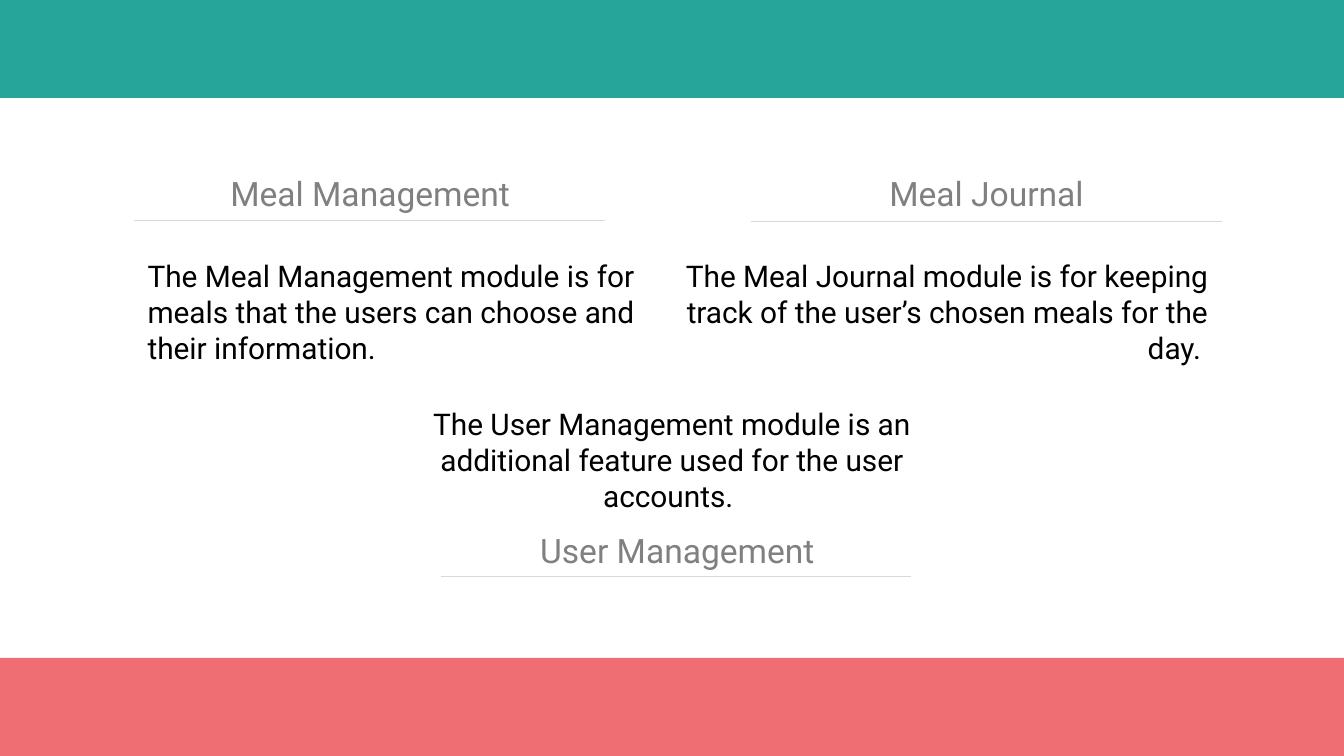
from pptx import Presentation
from pptx.util import Pt
from pptx.dml.color import RGBColor as RGB
from pptx.enum.shapes import MSO_SHAPE as Shape, MSO_CONNECTOR as Link
from pptx.enum.text import PP_ALIGN as Align
from pptx.oxml.ns import qn
from lxml.etree import SubElement as Sub

hues = {"teal": "26A69A", "coral": "EE6E73", "grey": "808080",
        "rule": "D9D9D9", "black": "000000"}

deck = Presentation()
deck.slide_width, deck.slide_height = Pt(720), Pt(405)
slide = deck.slides.add_slide(deck.slide_layouts[6])


def add_text(text, left, top, width, height, size, hue, align, wrap=True):
    box = slide.shapes.add_textbox(Pt(left), Pt(top), Pt(width), Pt(height))
    frame = box.text_frame
    frame.text = text
    frame.word_wrap = wrap
    para = frame.paragraphs[0]
    para.alignment = align
    font = para.runs[0].font
    font.name, font.size = "Roboto", Pt(size)
    font.color.rgb = RGB.from_string(hues[hue])


for top, hue in [(0, "teal"), (352.5, "coral")]:
    band = slide.shapes.add_shape(Shape.RECTANGLE, 0, Pt(top), Pt(720), Pt(52.5))
    band.shadow.inherit = False
    band.fill.solid()
    band.fill.fore_color.rgb = RGB.from_string(hues[hue])
    band.line.fill.background()

parts = [
    ("Meal Management", (115.2, 89.3, 166.3), (72, 118.1),
     "The Meal Management module is for meals that the users can choose "
     "and their information.", (72, 134.6, 288), Align.LEFT),
    ("Meal Journal", (468, 89.3, 121), (402.5, 118.8),
     "The Meal Journal module is for keeping track of the user’s chosen "
     "meals for the day. ", (336.2, 134.6, 318.2), Align.RIGHT),
    ("User Management", (280.8, 280.5, 164.2), (236.2, 308.9),
     "The User Management module is an additional feature used for the "
     "user accounts. ", (200.9, 213.8, 318.2), Align.CENTER),
]

for head, spot, start, body, area, align in parts:
    add_text(head, *spot, 28.8, 18, "grey", Align.CENTER, wrap=False)
    x, y = start
    rule = slide.shapes.add_connector(Link.STRAIGHT, Pt(x), Pt(y), Pt(x + 252), Pt(y))
    rule.line.color.rgb = RGB.from_string(hues["rule"])
    rule.line.width = Pt(0.75)
    Sub(rule._element.spPr, qn("a:effectLst"))
    add_text(body, *area, 65.5, 16, "black", align)

deck.save("out.pptx")
